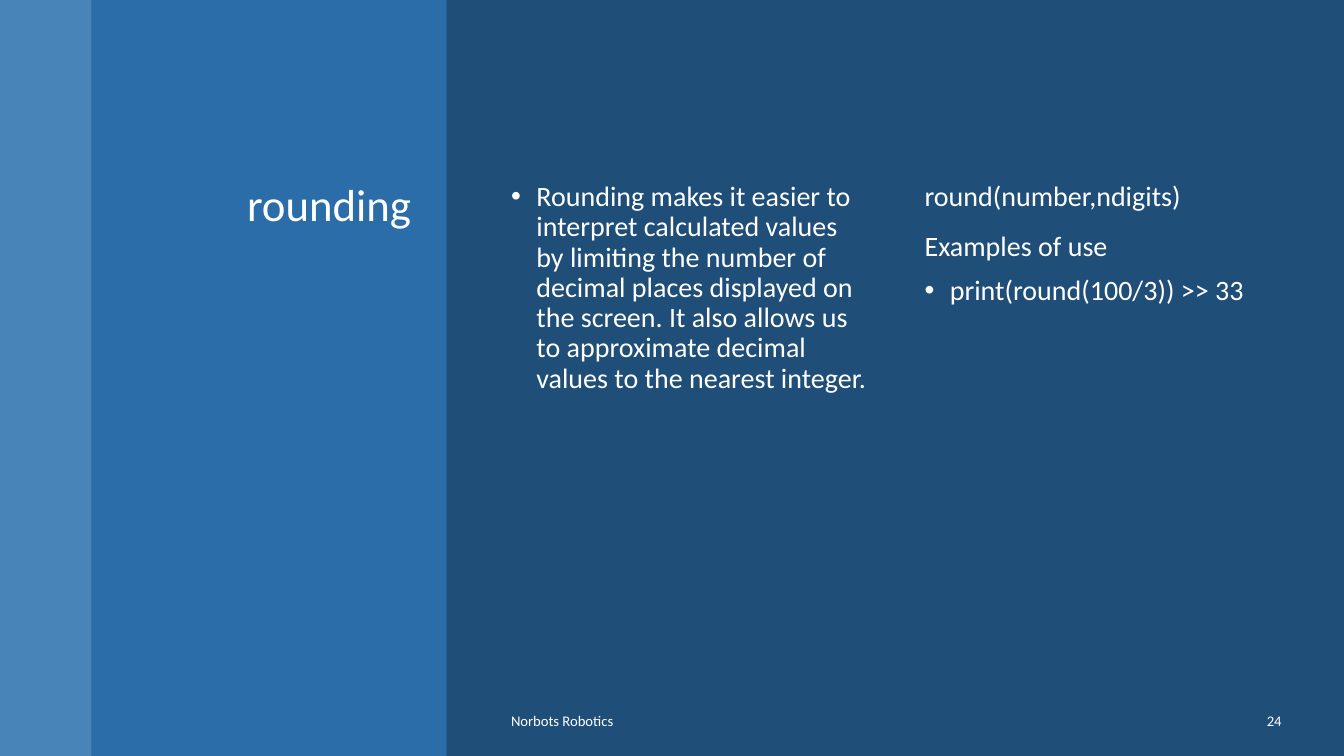
from dataclasses import dataclass

from lxml.etree import SubElement
from pptx import Presentation
from pptx.dml.color import RGBColor
from pptx.enum.shapes import MSO_SHAPE
from pptx.enum.text import MSO_ANCHOR, MSO_AUTO_SIZE, PP_ALIGN
from pptx.oxml.ns import qn
from pptx.util import Inches, Pt


@dataclass(frozen=True)
class Theme:
    """Colours, font and type sizes of the slide."""
    background: str = "1F4E79"
    edge_band: str = "5B9BD5"
    title_band: str = "2E75B6"
    text: str = "FFFFFF"
    font: str = "Calibri"
    title_size: float = 32
    body_size: float = 20
    footer_size: float = 10.5


THEME = Theme()
CONTENT_TOP, CONTENT_HEIGHT = 1.76, 4.92
COLUMN_LEFTS, COLUMN_WIDTH = (4.97, 9.07), 3.74
FOOTER_TOP, FOOTER_HEIGHT = 6.95, 0.4

COLUMNS = (
    (
        ("Rounding makes it easier to interpret calculated values by limiting "
         "the number of decimal places displayed on the screen. It also allows "
         "us to approximate decimal values to the nearest integer.", True, 0),
    ),
    (
        ("round(number,ndigits)", False, 0),
        ("Examples of use", False, 14),
        ("print(round(100/3)) >> 33", True, 10),
    ),
)


def add_band(slide, left, width, colour, opacity):
    """Draw a translucent full-height band."""
    band = slide.shapes.add_shape(
        MSO_SHAPE.RECTANGLE, Inches(left), 0, Inches(width), Inches(7.5))
    band.shadow.inherit = False
    band.fill.solid()
    band.fill.fore_color.rgb = RGBColor.from_string(colour)
    band.line.fill.background()
    solid = band.fill._xPr.find(qn("a:solidFill"))
    SubElement(solid[0], qn("a:alpha"), val=str(opacity * 1000))


def place(holder, left, top, width, height):
    """Position a shape using lengths in inches."""
    holder.left, holder.top = Inches(left), Inches(top)
    holder.width, holder.height = Inches(width), Inches(height)


def prepare_frame(holder, anchor):
    """Set wrapping and vertical alignment, and return the text frame."""
    frame = holder.text_frame
    frame.word_wrap = True
    frame.auto_size = MSO_AUTO_SIZE.NONE
    frame.vertical_anchor = anchor
    return frame


def style_paragraph(paragraph, size, align=PP_ALIGN.LEFT):
    """Apply the theme's type to a paragraph."""
    paragraph.alignment = align
    paragraph.font.name = THEME.font
    paragraph.font.size = Pt(size)
    paragraph.font.color.rgb = RGBColor.from_string(THEME.text)


def set_bullet(paragraph, bulleted):
    """Give a paragraph a hanging bullet, or none."""
    properties = paragraph._p.get_or_add_pPr()
    indent = Inches(0.25) if bulleted else 0
    properties.set("marL", str(indent))
    properties.set("indent", str(-indent))
    if bulleted:
        SubElement(properties, qn("a:buFont"), typeface="Arial")
        SubElement(properties, qn("a:buChar"), char="•")
    else:
        SubElement(properties, qn("a:buNone"))


def fill_title(title, wording):
    """Write the right-aligned title."""
    place(title, 1.09, CONTENT_TOP, 3.09, CONTENT_HEIGHT)
    frame = prepare_frame(title, MSO_ANCHOR.TOP)
    frame.text = wording
    heading = frame.paragraphs[0]
    heading.line_spacing = 0.9
    style_paragraph(heading, THEME.title_size, PP_ALIGN.RIGHT)


def fill_column(column, left, items):
    """Write one content column from wording, bullet and spacing."""
    place(column, left, CONTENT_TOP, COLUMN_WIDTH, CONTENT_HEIGHT)
    frame = prepare_frame(column, MSO_ANCHOR.TOP)
    frame.text = "\n".join(wording for wording, _, _ in items)
    for paragraph, (_, bulleted, space) in zip(frame.paragraphs, items):
        set_bullet(paragraph, bulleted)
        paragraph.line_spacing = 0.9
        paragraph.space_before = Pt(space)
        style_paragraph(paragraph, THEME.body_size)


def add_footer(slide, left, width, wording, align):
    """Add a line of text at the foot of the slide."""
    footer = slide.shapes.add_textbox(
        Inches(left), Inches(FOOTER_TOP), Inches(width), Inches(FOOTER_HEIGHT))
    frame = prepare_frame(footer, MSO_ANCHOR.MIDDLE)
    frame.text = wording
    frame.paragraphs[0].space_after = Pt(6)
    style_paragraph(frame.paragraphs[0], THEME.footer_size, align)


def main():
    """Build and save the slide."""
    deck = Presentation()
    deck.slide_width, deck.slide_height = Inches(13.33), Inches(7.5)
    slide = deck.slides.add_slide(deck.slide_layouts[3])
    slide.background.fill.solid()
    slide.background.fill.fore_color.rgb = RGBColor.from_string(THEME.background)

    add_band(slide, 0, 0.91, THEME.edge_band, 70)
    add_band(slide, 0.91, 3.52, THEME.title_band, 80)
    fill_title(slide.shapes.title, "rounding")
    for index, (left, items) in enumerate(zip(COLUMN_LEFTS, COLUMNS), start=1):
        fill_column(slide.placeholders[index], left, items)
    add_footer(slide, 4.97, 6.22, "Norbots Robotics", PP_ALIGN.LEFT)
    add_footer(slide, 11.32, 1.49, "24", PP_ALIGN.RIGHT)

    for holder in slide.placeholders:
        slide.shapes._spTree.append(holder._element)
    deck.save("out.pptx")


if __name__ == "__main__":
    main()
